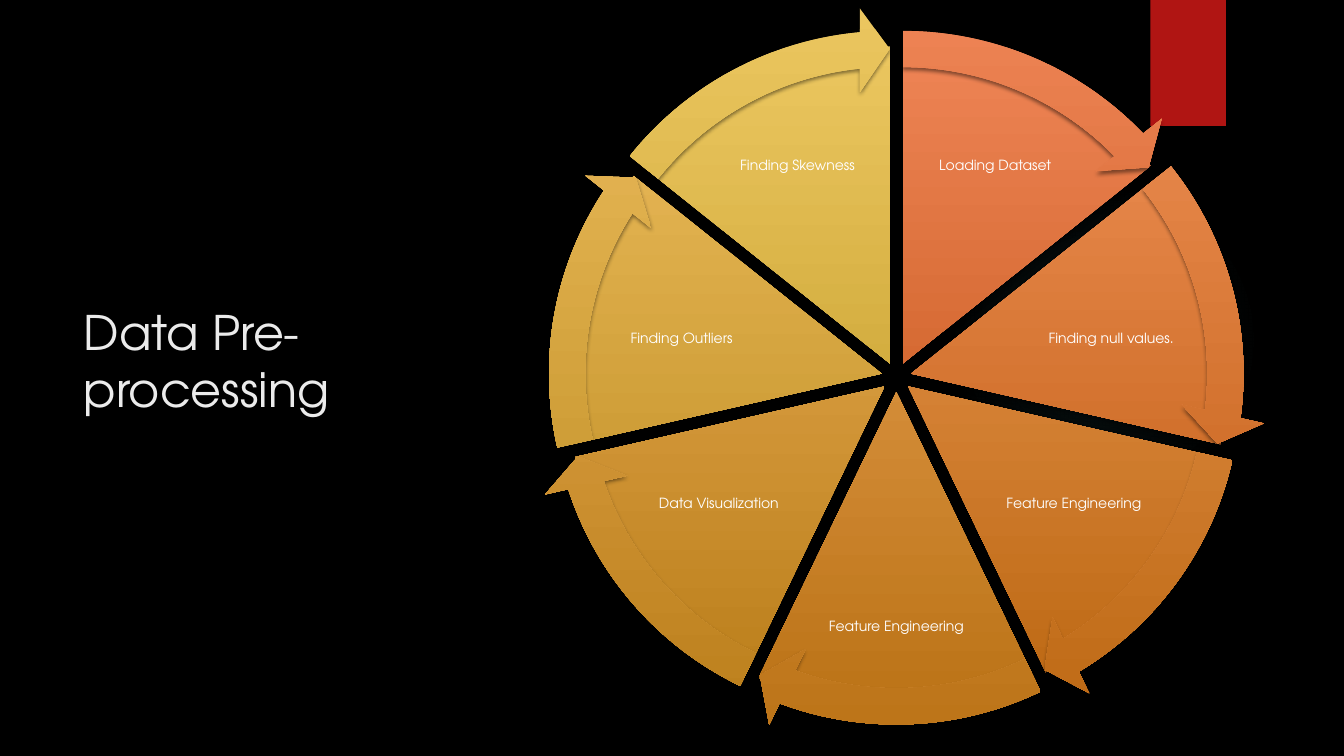
from dataclasses import dataclass
from math import cos, radians, sin

from lxml import etree
from pptx import Presentation
from pptx.dml.color import RGBColor
from pptx.enum.shapes import MSO_SHAPE
from pptx.enum.text import MSO_ANCHOR, MSO_AUTO_SIZE, PP_ALIGN
from pptx.oxml import parse_xml
from pptx.oxml.ns import nsdecls, qn
from pptx.util import Inches, Pt

# Content
TITLE = "Data Pre-processing"
STEPS = [  # clockwise from the top: label, gradient start, gradient end
    ("Loading Dataset", "EE8455", "BC4F0E"),
    ("Finding null values.", "EF8F56", "BD5C10"),
    ("Feature Engineering", "EE9B57", "BC6813"),
    ("Feature Engineering", "EDA659", "BB7317"),
    ("Data Visualization", "EDB15B", "BA7E1A"),
    ("Finding Outliers", "ECBC5D", "BA891D"),
    ("Finding Skewness", "EBC65F", "BB941F"),
]
# Label boxes on the right half, mirrored on the left:
# centre offset from the hub, top, width, height
LABEL_BOXES = [
    (0.98, 1.05, 1.5, 1.2),
    (2.13, 2.84, 1.72, 1.05),
    (1.76, 4.42, 1.5, 1.16),
    (0, 5.69, 1.46, 1.05),
]


@dataclass(frozen=True)
class Theme:
    font: str = "TeX Gyre Adventor"
    title_size: float = 34
    label_size: float = 10
    background: str = "000000"
    title: str = "EBEBEB"
    label: str = "FFFFFF"
    ribbon: str = "B01513"
    glow: str = "50B9C1"
    shadow: str = "000000"


THEME = Theme()

# Wheel geometry: angles in adjustment units, 216 to the full circle
HUB_X, HUB_Y = 8.89, 3.74
PIE_SIZE, ARROW_SIZE, EXPLODE = 6.29, 7.07, 0.15
FULL_TURN, TOP = 216, 162
SLICE = FULL_TURN / len(STEPS)
ARROW_BAND, ARROW_HEAD, ARROW_EDGE = 0.05085, 3.275, 0.059


def rgb(value):
    return RGBColor.from_string(value)


def add_shadow(effects):
    effects.append(parse_xml(
        f'<a:outerShdw {nsdecls("a")} blurRad="{Pt(3)}" dist="{Pt(2)}" dir="5400000" '
        f'rotWithShape="0"><a:srgbClr val="{THEME.shadow}"><a:alpha val="45000"/>'
        '</a:srgbClr></a:outerShdw>'))


def add_plain_shape(shapes, kind, left, top, width, height):
    shape = shapes.add_shape(kind, Inches(left), Inches(top), Inches(width), Inches(height))
    shape.line.fill.background()
    shape.shadow.inherit = False
    return shape


def shadow_shape(shape):
    add_shadow(shape._element.spPr.find(qn("a:effectLst")))


def style_run(run, size, color):
    run.font.name = THEME.font
    run.font.size = Pt(size)
    run.font.color.rgb = rgb(color)


def add_sector(shapes, kind, size, index, adjustments):
    """One slice or arrow, pushed out from the hub along its middle angle."""
    middle = radians((index + 0.5) * 360 / len(STEPS))
    left = HUB_X + EXPLODE * sin(middle) - size / 2
    top = HUB_Y - EXPLODE * cos(middle) - size / 2
    sector = add_plain_shape(shapes, kind, left, top, size, size)
    for position, value in enumerate(adjustments):
        sector.adjustments[position] = value
    sector.fill.gradient()
    sector.fill.gradient_angle = 270
    for stop, color in zip(sector.fill.gradient_stops, STEPS[index][1:]):
        stop.color.rgb = rgb(color)
    shadow_shape(sector)


def add_label(shapes, index, text):
    mirrored = index >= len(LABEL_BOXES)
    offset, top, width, height = LABEL_BOXES[len(STEPS) - 1 - index if mirrored else index]
    center = HUB_X - offset if mirrored else HUB_X + offset
    label = shapes.add_textbox(
        Inches(center - width / 2), Inches(top), Inches(width), Inches(height))
    frame = label.text_frame
    frame.word_wrap = True
    frame.vertical_anchor = MSO_ANCHOR.MIDDLE
    frame.margin_left = frame.margin_right = Inches(0.01)
    frame.margin_top = frame.margin_bottom = Inches(0.01)
    paragraph = frame.paragraphs[0]
    paragraph.alignment = PP_ALIGN.CENTER
    paragraph.line_spacing = 0.9
    paragraph.space_after = Pt(3.5)
    run = paragraph.add_run()
    run.text = text
    style_run(run, THEME.label_size, THEME.label)


def add_backdrop(slide):
    slide.background.fill.solid()
    slide.background.fill.fore_color.rgb = rgb(THEME.background)

    # Soft glow
    glow = add_plain_shape(slide.shapes, MSO_SHAPE.OVAL, 9.41, 1.83, 3.08, 3.08)
    glow.fill.gradient()
    gradient = glow._element.spPr.find(qn("a:gradFill"))
    for child in list(gradient):
        gradient.remove(child)
    stops = etree.SubElement(gradient, qn("a:gsLst"))
    for position, alpha in ((0, 7), (36, 6), (69, 0)):
        stop = etree.SubElement(stops, qn("a:gs"), pos=str(position * 1000))
        color = etree.SubElement(stop, qn("a:srgbClr"), val=THEME.glow)
        etree.SubElement(color, qn("a:alpha"), val=str(alpha * 1000))
    circle = etree.SubElement(gradient, qn("a:path"), attrib={"path": "circle"})
    etree.SubElement(circle, qn("a:fillToRect"), l="50000", t="50000", r="50000", b="50000")

    # Ribbon
    ribbon = add_plain_shape(slide.shapes, MSO_SHAPE.RECTANGLE, 11.41, 0, 0.75, 1.25)
    ribbon.fill.solid()
    ribbon.fill.fore_color.rgb = rgb(THEME.ribbon)
    shadow_shape(ribbon)


def add_title(slide):
    title = slide.shapes.title
    title.left, title.top = Inches(0.73), Inches(1.56)
    title.width, title.height = Inches(3.31), Inches(4.02)
    frame = title.text_frame
    frame.word_wrap = True
    frame.auto_size = MSO_AUTO_SIZE.NONE
    frame.vertical_anchor = MSO_ANCHOR.MIDDLE
    paragraph = frame.paragraphs[0]
    paragraph.alignment = PP_ALIGN.LEFT
    run = paragraph.add_run()
    run.text = TITLE
    style_run(run, THEME.title_size, THEME.title)
    effects = parse_xml(f'<a:effectLst {nsdecls("a")}/>')
    add_shadow(effects)
    run.font._element.find(qn("a:solidFill")).addnext(effects)


def add_wheel(slide):
    wheel = slide.shapes.add_group_shape().shapes
    angles = [(TOP + i * SLICE) % FULL_TURN for i in range(len(STEPS) + 1)]
    spans = list(zip(angles, angles[1:]))

    # Slices with their labels
    for index, (start, end) in enumerate(spans):
        add_sector(wheel, MSO_SHAPE.PIE, PIE_SIZE, index, (start, end))
        add_label(wheel, index, STEPS[index][0])

    # Arrows around the rim
    for index, (start, end) in enumerate(spans):
        head_start = (end - ARROW_HEAD) % FULL_TURN
        add_sector(wheel, MSO_SHAPE.CIRCULAR_ARROW, ARROW_SIZE, index,
                   (ARROW_BAND, ARROW_HEAD, head_start, start, ARROW_EDGE))


def main():
    deck = Presentation()
    deck.slide_width, deck.slide_height = Inches(13.33), Inches(7.5)
    slide = deck.slides.add_slide(deck.slide_layouts[5])
    add_backdrop(slide)
    add_title(slide)
    add_wheel(slide)
    deck.save("out.pptx")


if __name__ == "__main__":
    main()
